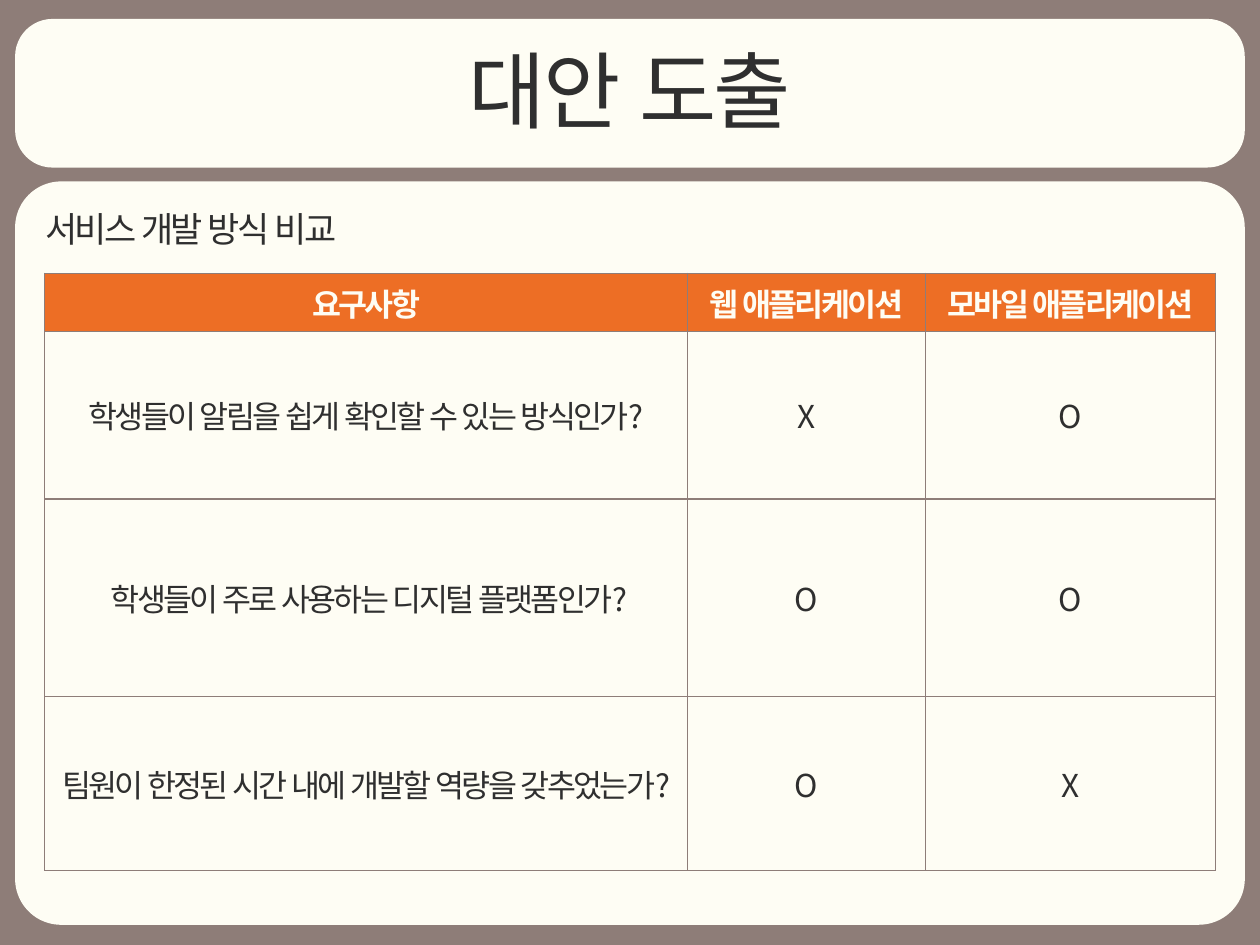
from dataclasses import dataclass

import pptx
import pptx.dml.color
import pptx.enum.shapes
import pptx.enum.text
import pptx.oxml
import pptx.oxml.ns
import pptx.util

RGBColor = pptx.dml.color.RGBColor
TAUPE = RGBColor(0x8E, 0x7D, 0x78)
CREAM = RGBColor(0xFE, 0xFD, 0xF4)
CHARCOAL = RGBColor(0x2F, 0x2F, 0x2F)
ORANGE = RGBColor(0xED, 0x6E, 0x25)

FONT = "Noto Sans CJK KR"
LETTER_SPACING = -150
CENTER = pptx.enum.text.PP_ALIGN.CENTER
LEFT = pptx.enum.text.PP_ALIGN.LEFT

SLIDE_WIDTH, SLIDE_HEIGHT = 10, 7.5
PANEL_MARGIN = 0.12
COLUMN_WIDTHS = (5.1, 1.89, 2.3)
ROW_HEIGHTS = (0.46, 1.33, 1.57, 1.38)
TABLE_TOP = 2.17


@dataclass(frozen=True)
class Panel:
    top: float
    height: float
    corner: float


@dataclass(frozen=True)
class Label:
    text: str
    left: float
    top: float
    width: float
    height: float
    size: float
    align: pptx.enum.text.PP_ALIGN


PANELS = (Panel(0.15, 1.18, 0.252), Panel(1.44, 5.9, 0.062))
LABELS = (
    Label("대안 도출", 3.59, 0.26, 2.82, 0.91, 48, CENTER),
    Label("서비스 개발 방식 비교", 0.26, 1.6, 2.55, 0.44, 20, LEFT),
)
COMPARISON = (
    ("요구사항", "웹 애플리케이션", "모바일 애플리케이션"),
    ("학생들이 알림을 쉽게 확인할 수 있는 방식인가?", "X", "O"),
    (" 학생들이 주로 사용하는 디지털 플랫폼인가?", "O", "O"),
    ("팀원이 한정된 시간 내에 개발할 역량을 갖추었는가?", "O", "X"),
)


def inches(*lengths: float) -> list:
    return [pptx.util.Inches(length) for length in lengths]


def write(para, text: str, size: float, color: RGBColor, align, bold: bool = False) -> None:
    para.alignment = align
    span = para.add_run()
    span.text = text
    span.font.size = pptx.util.Pt(size)
    span.font.bold = bold
    span.font.color.rgb = color
    span.font.name = FONT
    properties = span.font._element
    properties.set("lang", "ko-KR")
    properties.set("spc", str(LETTER_SPACING))
    east_asian = pptx.oxml.parse_xml(
        f'<a:ea {pptx.oxml.ns.nsdecls("a")} typeface="{FONT}"/>'
    )
    properties.append(east_asian)


def add_panel(page, panel: Panel) -> None:
    shape = page.shapes.add_shape(
        pptx.enum.shapes.MSO_SHAPE.ROUNDED_RECTANGLE,
        *inches(PANEL_MARGIN, panel.top, SLIDE_WIDTH - 2 * PANEL_MARGIN, panel.height),
    )
    shape.adjustments[0] = panel.corner
    shape.shadow.inherit = False
    shape.fill.solid()
    shape.fill.fore_color.rgb = CREAM
    shape.line.fill.background()


def add_label(page, label: Label) -> None:
    box = page.shapes.add_textbox(*inches(label.left, label.top, label.width, label.height))
    box.text_frame.word_wrap = False
    box.text_frame.auto_size = pptx.enum.text.MSO_AUTO_SIZE.SHAPE_TO_FIT_TEXT
    write(box.text_frame.paragraphs[0], label.text, label.size, CHARCOAL, label.align)


def set_borders(cell) -> None:
    """Outline a cell; border elements must precede its fill in the XML."""
    properties = cell._tc.get_or_add_tcPr()
    for position, side in enumerate(("lnL", "lnR", "lnT", "lnB")):
        border = pptx.oxml.parse_xml(
            f'<a:{side} {pptx.oxml.ns.nsdecls("a")} w="{pptx.util.Pt(1)}">'
            f'<a:solidFill><a:srgbClr val="{TAUPE}"/></a:solidFill></a:{side}>'
        )
        properties.insert(position, border)


def add_comparison(page) -> None:
    width, height = sum(COLUMN_WIDTHS), sum(ROW_HEIGHTS)
    table = page.shapes.add_table(
        len(ROW_HEIGHTS), len(COLUMN_WIDTHS),
        *inches((SLIDE_WIDTH - width) / 2, TABLE_TOP, width, height),
    ).table
    for column, length in zip(table.columns, inches(*COLUMN_WIDTHS)):
        column.width = length
    for row, length in zip(table.rows, inches(*ROW_HEIGHTS)):
        row.height = length
    for row_index, texts in enumerate(COMPARISON):
        header = row_index == 0
        for column_index, text in enumerate(texts):
            cell = table.cell(row_index, column_index)
            cell.vertical_anchor = pptx.enum.text.MSO_ANCHOR.MIDDLE
            cell.fill.solid()
            cell.fill.fore_color.rgb = ORANGE if header else CREAM
            set_borders(cell)
            color = CREAM if header else CHARCOAL
            write(cell.text_frame.paragraphs[0], text, 18, color, CENTER, header)


def main() -> None:
    deck = pptx.Presentation()
    deck.slide_width, deck.slide_height = inches(SLIDE_WIDTH, SLIDE_HEIGHT)
    page = deck.slides.add_slide(deck.slide_layouts[6])
    page.background.fill.solid()
    page.background.fill.fore_color.rgb = TAUPE
    for panel in PANELS:
        add_panel(page, panel)
    for label in LABELS:
        add_label(page, label)
    add_comparison(page)
    deck.save("out.pptx")


if __name__ == "__main__":
    main()
